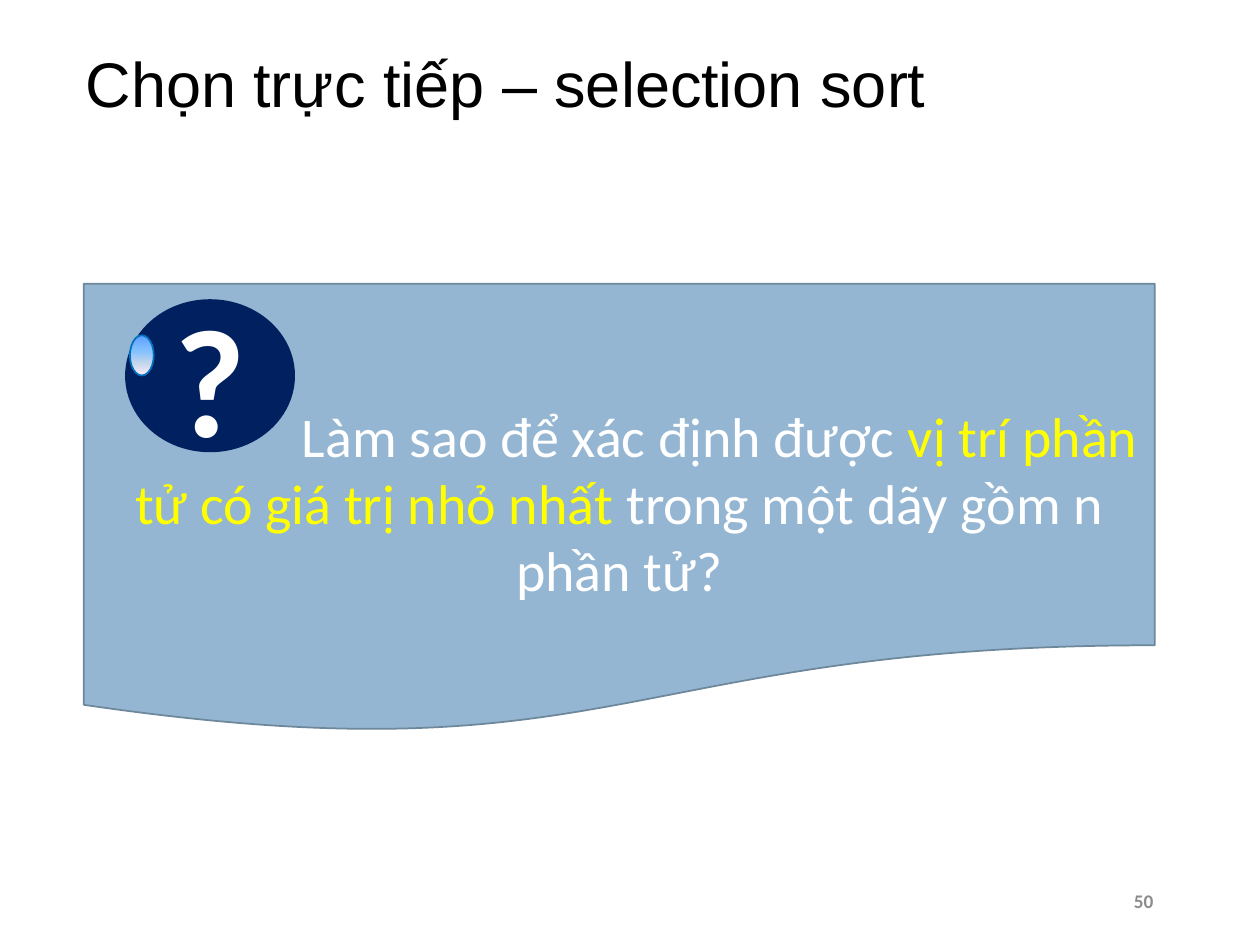
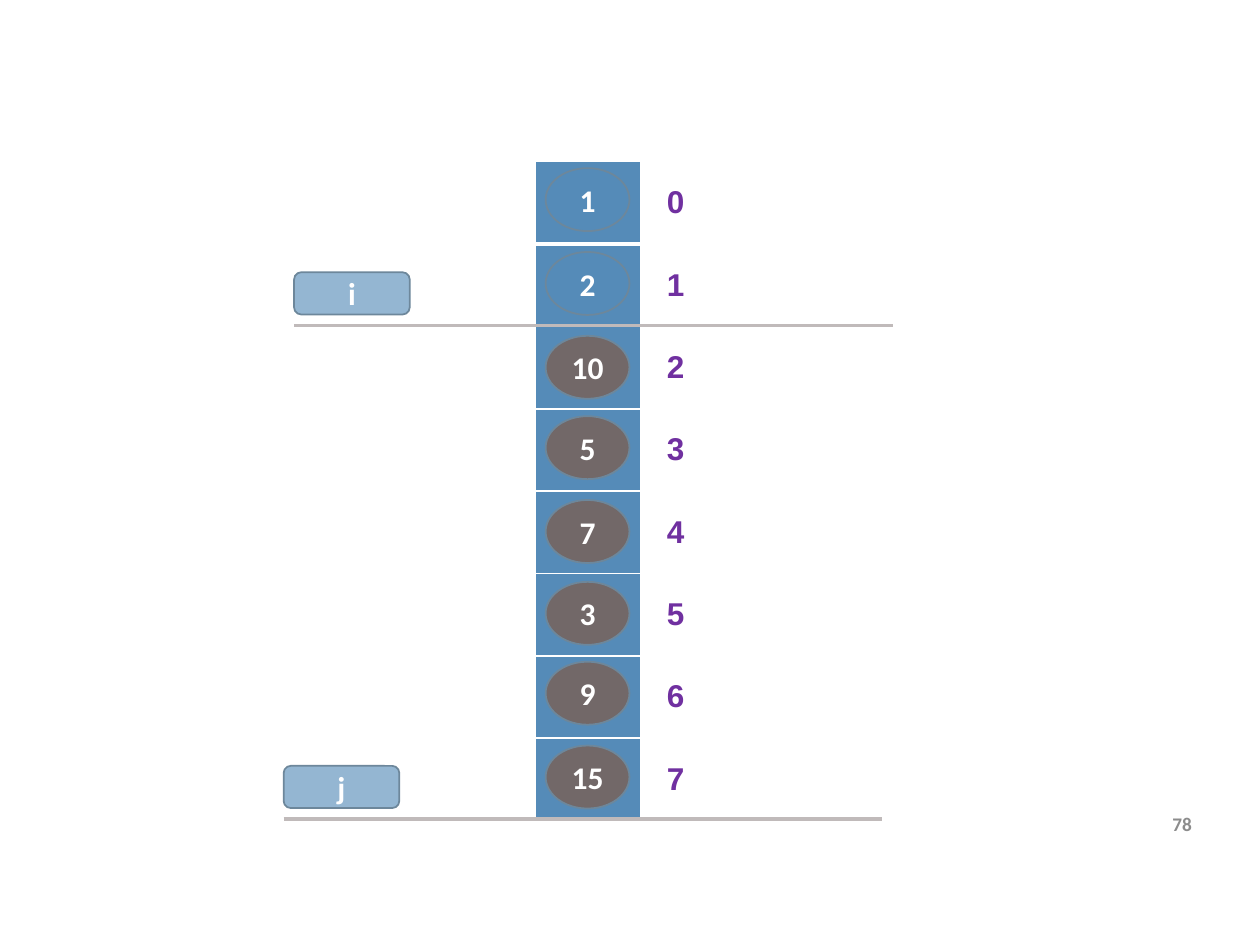
from dataclasses import dataclass

from lxml.etree import SubElement
from pptx import Presentation
from pptx.dml.color import RGBColor
from pptx.enum.shapes import MSO_CONNECTOR, MSO_SHAPE
from pptx.enum.text import MSO_ANCHOR, PP_ALIGN
from pptx.oxml.ns import qn
from pptx.util import Cm, Pt


@dataclass(frozen=True)
class Theme:
    heading_font: str = "Arial"
    body_font: str = "Calibri"
    black: str = "000000"
    white: str = "FFFFFF"
    highlight: str = "FFFF00"
    panel: str = "94B6D2"
    outline: str = "6D879B"
    badge: str = "002060"
    glint_outline: str = "0070C0"
    glint: tuple = ((0, "5E9EFF"), (40, "85C2FF"), (70, "C4D6EB"), (100, "FFEBFA"))
    sorted_item: str = "558BB8"
    unsorted_item: str = "726868"
    index: str = "7030A0"
    rule: str = "C0BABA"
    page_number: str = "8C8C8C"
    title_size: int = 36
    question_size: int = 32
    badge_size: int = 88
    label_size: int = 18
    number_size: int = 11


TITLE_ONLY, BLANK = 5, 6


def color(value):
    return RGBColor.from_string(value)


def apply(target, formats):
    for name, value in formats.items():
        setattr(target, name, value)


class Builder:
    def __init__(self, deck, theme):
        self.deck = deck
        self.theme = theme
        self.page = None

    def add_page(self, layout):
        self.page = self.deck.slides.add_slide(self.deck.slide_layouts[layout])

    def set_text(self, frame, spans, size, bold=False, font=None,
                 align=PP_ALIGN.CENTER, **frame_formats):
        """Fill the frame with one paragraph of (text, colour) spans."""
        apply(frame, {"word_wrap": True, "vertical_anchor": MSO_ANCHOR.MIDDLE,
                      **frame_formats})
        para = frame.paragraphs[0]
        para.alignment = align
        for text, tone in spans:
            span = para.add_run()
            span.text = text
            apply(span.font, {"name": font or self.theme.body_font,
                              "size": Pt(size), "bold": bold})
            span.font.color.rgb = color(tone)
        return para

    def title(self, text):
        title = self.page.shapes.title
        apply(title, {"left": Cm(1.47), "top": Cm(0.56),
                      "width": Cm(22.43), "height": Cm(2.41)})
        para = self.set_text(title.text_frame, [(text, self.theme.black)],
                             self.theme.title_size, font=self.theme.heading_font,
                             align=PP_ALIGN.LEFT)
        para.line_spacing = 0.9

    def page_number(self, number, left, top, width, height):
        box = self.page.shapes.add_textbox(Cm(left), Cm(top), Cm(width), Cm(height))
        self.set_text(box.text_frame, [(str(number), self.theme.page_number)],
                      self.theme.number_size, bold=True, align=PP_ALIGN.RIGHT)

    def shape(self, kind, left, top, width, height, fill, line):
        shape = self.page.shapes.add_shape(kind, Cm(left), Cm(top), Cm(width), Cm(height))
        shape.shadow.inherit = False
        shape.fill.solid()
        shape.fill.fore_color.rgb = color(fill)
        shape.line.color.rgb = color(line)
        shape.line.width = Pt(1)
        return shape

    def label(self, kind, text, left, top, width, height, fill):
        shape = self.shape(kind, left, top, width, height, fill, self.theme.outline)
        self.set_text(shape.text_frame, [(text, self.theme.white)],
                      self.theme.label_size, bold=True, margin_left=0, margin_right=0)

    def gradient(self, shape, stops):
        """Blend the stops from the top of the shape to its bottom."""
        shape.fill.gradient()
        shape.fill.gradient_angle = 270
        stop_list = next(shape.element.iter(qn("a:gsLst")))
        for stop in list(stop_list):
            stop_list.remove(stop)
        for position, tone in stops:
            stop = SubElement(stop_list, qn("a:gs"), pos=str(position * 1000))
            SubElement(stop, qn("a:srgbClr"), val=tone)

    def rule(self, left, top, length):
        line = self.page.shapes.add_connector(
            MSO_CONNECTOR.STRAIGHT, Cm(left), Cm(top), Cm(left + length), Cm(top))
        line.line.color.rgb = color(self.theme.rule)
        line.line.width = Pt(2)
        SubElement(line.element.spPr, qn("a:effectLst"))

    def marker(self, text, left, baseline):
        self.rule(left, baseline, 12.07)
        self.label(MSO_SHAPE.ROUNDED_RECTANGLE, text, left, baseline - 1.07,
                   2.33, 0.85, self.theme.panel)

    def borders(self, cell, widths):
        properties = cell._tc.get_or_add_tcPr()
        for side, points in widths.items():
            line = SubElement(properties, qn(f"a:ln{side}"), w=str(Pt(points)))
            fill = SubElement(line, qn("a:solidFill"))
            SubElement(fill, qn("a:srgbClr"), val=self.theme.white)

    def array_table(self, count, left, top, widths, row_height):
        table = self.page.shapes.add_table(
            count, len(widths), Cm(left), Cm(top),
            Cm(sum(widths)), Cm(row_height * count)).table
        apply(table, {"first_row": False, "horz_banding": False})
        for column, width in zip(table.columns, widths):
            column.width = Cm(width)
        for index, row in enumerate(table.rows):
            row.height = Cm(row_height)
            slot, number = row.cells
            for cell in (slot, number):
                self.borders(cell, {"L": 1, "R": 1, "T": 3 if index == 1 else 1,
                                    "B": 3 if index == 0 else 1})
            slot.fill.solid()
            slot.fill.fore_color.rgb = color(self.theme.sorted_item)
            number.fill.background()
            number.vertical_anchor = MSO_ANCHOR.MIDDLE
            self.set_text(number.text_frame, [(str(index), self.theme.index)],
                          self.theme.label_size, bold=True,
                          font=self.theme.heading_font)


def build_question(builder):
    theme = builder.theme
    builder.add_page(TITLE_ONLY)
    builder.title("Chọn trực tiếp – selection sort")
    builder.page_number(50, 17.78, 17.65, 5.72, 1.02)
    panel = builder.shape(MSO_SHAPE.FLOWCHART_DOCUMENT, 1.69, 5.72, 21.59, 9.09,
                          theme.panel, theme.outline)
    question = builder.set_text(panel.text_frame, [
        ("Làm sao để xác định được ", theme.white),
        ("vị trí phần tử có giá trị nhỏ nhất ", theme.highlight),
        ("trong một dãy gồm n phần tử?", theme.white),
    ], theme.question_size, margin_top=Cm(1.65))
    # The first line starts to the right of the badge
    question._p.get_or_add_pPr().set("indent", str(Cm(4.05)))
    badge = builder.shape(MSO_SHAPE.OVAL, 2.54, 6.05, 3.39, 3.05,
                          theme.badge, theme.badge)
    builder.set_text(badge.text_frame, [("?", theme.white)], theme.badge_size, bold=True)
    glint = builder.shape(MSO_SHAPE.OVAL, 2.62, 6.76, 0.48, 0.81,
                          theme.white, theme.glint_outline)
    builder.gradient(glint, theme.glint)


def build_array(builder):
    theme = builder.theme
    items = [(1, 3.39), (2, 5.08), (10, 6.77), (5, 8.39),
             (7, 10.08), (3, 11.73), (9, 13.34), (15, 15.03)]
    sorted_count = 2
    builder.add_page(BLANK)
    builder.array_table(len(items), 10.8, 3.26, (2.12, 1.4), 1.66)
    builder.page_number(78, 22.58, 15.88, 1.7, 1.45)
    for index, (value, top) in enumerate(items):
        fill = theme.sorted_item if index < sorted_count else theme.unsorted_item
        builder.label(MSO_SHAPE.OVAL, str(value), 11, top, 1.69, 1.27, fill)
    builder.marker("i", 5.93, 6.56)
    builder.marker("j", 5.72, 16.51)


def main():
    deck = Presentation()
    apply(deck, {"slide_width": Cm(25.4), "slide_height": Cm(19.05)})
    builder = Builder(deck, Theme())
    build_question(builder)
    build_array(builder)
    deck.save("out.pptx")


if __name__ == "__main__":
    main()
